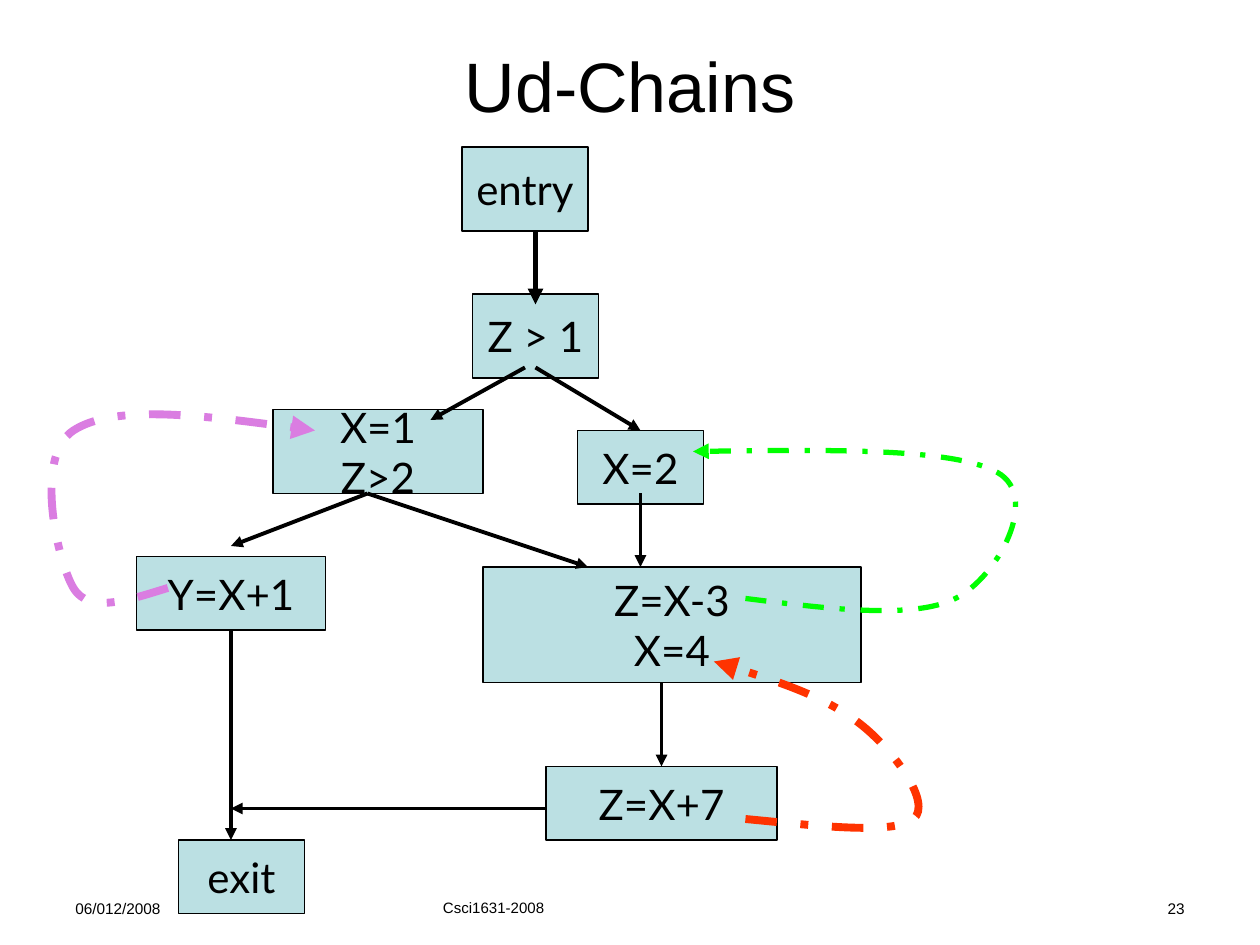
"""Build the Ud-Chains slide: a control-flow graph with use-definition arrows."""
from dataclasses import dataclass
from typing import Optional

from pptx import Presentation
from pptx import util as u
from pptx.dml.color import RGBColor
from pptx.enum import dml, shapes, text
from pptx.oxml import ns
from pptx.oxml.xmlchemy import OxmlElement
from pptx.slide import Slide


@dataclass(frozen=True)
class Theme:
    ink: str = "000000"
    node_fill: str = "BBE0E3"
    green: str = "00FF00"
    violet: str = "DA7DE1"
    red: str = "FF3300"
    title_font: str = "Arial"
    node_font: str = "Lato"
    title_size: float = 40
    node_size: float = 24
    footer_size: float = 8.8
    footer_mid_size: float = 8.6
    node_line: float = 0.75
    edge_line: float = 2.25


@dataclass(frozen=True)
class Node:
    label: str
    x: float
    y: float
    w: float
    h: float


@dataclass(frozen=True)
class Edge:
    start: tuple
    end: tuple
    width: float = Theme.edge_line
    source: Optional[str] = None
    target: Optional[str] = None


@dataclass(frozen=True)
class Chain:
    color: str
    width: float
    points: tuple


@dataclass(frozen=True)
class Label:
    text: str
    x: float
    y: float
    w: float
    h: float
    size: float
    align: text.PP_ALIGN
    anchor: text.MSO_ANCHOR = text.MSO_ANCHOR.TOP


T = Theme()
TOP, BOTTOM = 0, 2

LABELS = [
    Label("06/012/2008", 36, 510, 168, 19.5, T.footer_size, text.PP_ALIGN.LEFT),
    Label("Csci1631-2008", 246, 510, 228, 19.5, T.footer_mid_size, text.PP_ALIGN.LEFT),
    Label("23", 516, 510, 168, 19.5, T.footer_size, text.PP_ALIGN.RIGHT),
    Label("Ud-Chains", 36, 18, 648, 60, T.title_size, text.PP_ALIGN.CENTER,
          text.MSO_ANCHOR.MIDDLE),
]

NODES = [
    Node("entry", 264, 84, 72, 48),
    Node("Z > 1", 270, 168, 72, 48),
    Node("X=1\nZ>2", 156, 234, 120, 48),
    Node("X=2", 330, 246, 72, 42),
    Node("Z=X-3\nX=4", 276, 324, 216, 66),
    Node("Z=X+7", 312, 438, 132, 42),
    Node("Y=X+1", 78, 318, 108, 42),
    Node("exit", 102, 480, 72, 42),
]

EDGES = [
    Edge((306, 132), (306, 174), width=3),
    Edge((300, 210), (246, 240)),
    Edge((306, 210), (366, 246), target="X=2"),
    Edge((210, 282), (132, 312)),
    Edge((210, 282), (336, 324)),
    Edge((366, 282), (366, 324)),
    Edge((378, 390), (378, 438), target="Z=X+7"),
    Edge((132, 360), (132, 480), source="Y=X+1"),
    Edge((312, 462), (132, 462)),
]

CHAINS = [
    Chain(T.green, 3, ((426, 342), (474, 348), (522, 354), (546, 342), (570, 330),
                       (595, 284), (570, 270), (545, 256), (470, 257), (396, 258))),
    Chain(T.violet, 4.5, ((96, 336), (73, 343), (51, 351), (42, 336), (33, 321),
                          (19, 261), (42, 246), (65, 231), (122, 238), (180, 246))),
    Chain(T.red, 4.5, ((426, 468), (468, 472.5), (511, 477), (522, 468), (533, 459),
                       (511, 429), (492, 414), (473, 399), (441, 388), (408, 378))),
]


def write(tf, content: str, font: str, size: float, align) -> None:
    tf.text = content
    for p in tf.paragraphs:
        p.alignment = align
        for r in p.runs:
            r.font.name, r.font.size = font, u.Pt(size)
            r.font.color.rgb = RGBColor.from_string(T.ink)


def set_line(line, color: str, width: float) -> None:
    line.color.rgb = RGBColor.from_string(color)
    line.width = u.Pt(width)


def add_arrowhead(line) -> None:
    tail = OxmlElement("a:tailEnd")
    tail.set("type", "triangle")
    line._get_or_add_ln().append(tail)


def add_label(s: Slide, label: Label) -> None:
    box = map(u.Pt, (label.x, label.y, label.w, label.h))
    tf = s.shapes.add_textbox(*box).text_frame
    tf.word_wrap = True
    tf.vertical_anchor = label.anchor
    write(tf, label.text, T.title_font, label.size, label.align)


def add_node(s: Slide, node: Node):
    box = map(u.Pt, (node.x, node.y, node.w, node.h))
    sp = s.shapes.add_shape(shapes.MSO_SHAPE.RECTANGLE, *box)
    sp.shadow.inherit = False
    sp.fill.solid()
    sp.fill.fore_color.rgb = RGBColor.from_string(T.node_fill)
    set_line(sp.line, T.ink, T.node_line)
    tf = sp.text_frame
    tf.word_wrap = False
    tf.vertical_anchor = text.MSO_ANCHOR.MIDDLE
    write(tf, node.label, T.node_font, T.node_size, text.PP_ALIGN.CENTER)
    return sp


def add_edge(s: Slide, edge: Edge, nodes: dict) -> None:
    ends = map(u.Pt, edge.start + edge.end)
    cx = s.shapes.add_connector(shapes.MSO_CONNECTOR.STRAIGHT, *ends)
    if edge.source:
        cx.begin_connect(nodes[edge.source], BOTTOM)
    if edge.target:
        cx.end_connect(nodes[edge.target], TOP)
    set_line(cx.line, T.ink, edge.width)
    add_arrowhead(cx.line)
    cx._element.spPr.append(OxmlElement("a:effectLst"))


def add_chain(s: Slide, chain: Chain) -> None:
    fb = s.shapes.build_freeform(*chain.points[0], scale=float(u.Pt(1)))
    fb.add_line_segments(chain.points[1:], close=False)
    sp = fb.convert_to_shape()
    segments = list(sp._element.iter(ns.qn("a:lnTo")))
    for i in range(0, len(segments), 3):
        curve = OxmlElement("a:cubicBezTo")
        segments[i].addprevious(curve)
        for segment in segments[i:i + 3]:
            curve.append(segment[0])
            segment.getparent().remove(segment)
    sp.shadow.inherit = False
    sp.fill.background()
    set_line(sp.line, chain.color, chain.width)
    sp.line.dash_style = dml.MSO_LINE.DASH_DOT
    add_arrowhead(sp.line)


def main() -> None:
    prs = Presentation()
    prs.slide_width, prs.slide_height = u.Pt(720), u.Pt(540)
    s = prs.slides.add_slide(prs.slide_layouts[6])
    for label in LABELS:
        add_label(s, label)
    nodes = {node.label: add_node(s, node) for node in NODES}
    for edge in EDGES:
        add_edge(s, edge, nodes)
    for chain in CHAINS:
        add_chain(s, chain)
    prs.save("out.pptx")


if __name__ == "__main__":
    main()
